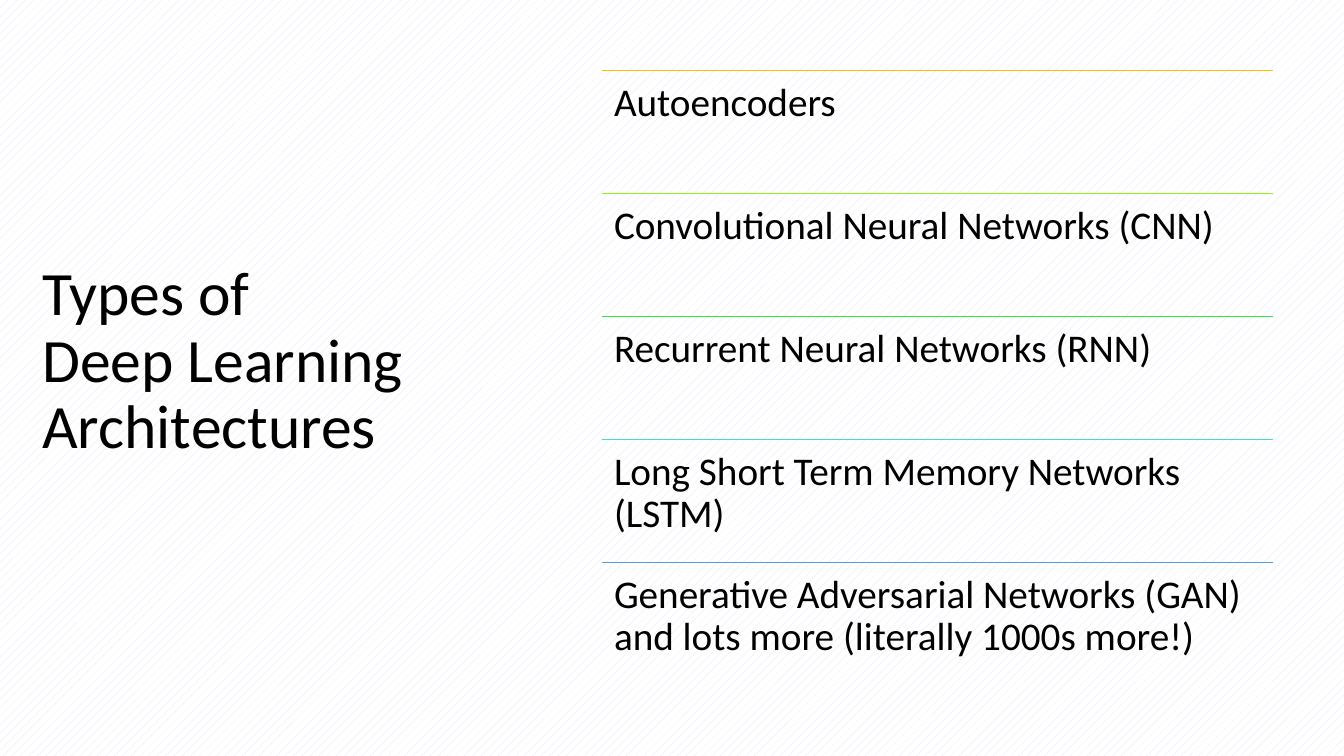
from lxml import etree
from pptx import Presentation
from pptx.dml.color import RGBColor
from pptx.enum.dml import MSO_PATTERN
from pptx.enum.shapes import MSO_CONNECTOR
from pptx.enum.text import MSO_ANCHOR, MSO_AUTO_SIZE, PP_ALIGN
from pptx.oxml.ns import qn
from pptx.util import Inches, Pt

FONT = "Calibri"
BLACK = RGBColor(0x00, 0x00, 0x00)
WHITE = RGBColor(0xFF, 0xFF, 0xFF)
PALE_BLUE = RGBColor(0xDA, 0xE3, 0xF3)

ARCHITECTURES = [
    ("Autoencoders", RGBColor(0xFF, 0xC0, 0x00)),
    ("Convolutional Neural Networks (CNN)", RGBColor(0x94, 0xF3, 0x19)),
    ("Recurrent Neural Networks (RNN)", RGBColor(0x30, 0xE8, 0x45)),
    ("Long Short Term Memory Networks (LSTM)", RGBColor(0x46, 0xDE, 0xBF)),
    ("Generative Adversarial Networks (GAN) and lots more (literally 1000s more!)",
     RGBColor(0x5B, 0x9B, 0xD5)),
]
LIST_LEFT = Inches(5.97)
LIST_TOP = Inches(0.7)
LIST_WIDTH = Inches(6.66)
ROW_HEIGHT = Inches(1.22)
ROW_INSET = Inches(0.12)


def set_background(slide):
    fill = slide.background.fill
    fill.patterned()
    fill.pattern = MSO_PATTERN.PERCENT_20
    fill.fore_color.rgb = PALE_BLUE
    fill.back_color.rgb = WHITE


def write_text(text_frame, text, size, anchor):
    text_frame.text = text
    text_frame.word_wrap = True
    text_frame.auto_size = MSO_AUTO_SIZE.NONE
    text_frame.vertical_anchor = anchor
    for paragraph in text_frame.paragraphs:
        paragraph.alignment = PP_ALIGN.LEFT
        paragraph.line_spacing = 0.9
        for run in paragraph.runs:
            run.font.name = FONT
            run.font.size = Pt(size)
            run.font.color.rgb = BLACK


def add_title(slide, text):
    title = slide.shapes.title
    title.left, title.top = Inches(0.32), Inches(0.15)
    title.width, title.height = Inches(4.25), Inches(6.89)
    write_text(title.text_frame, text, 44, MSO_ANCHOR.MIDDLE)


def add_rule(shapes, top, color):
    rule = shapes.add_connector(
        MSO_CONNECTOR.STRAIGHT, LIST_LEFT, top, LIST_LEFT + LIST_WIDTH, top)
    rule.line.color.rgb = color
    rule.line.width = Pt(1)
    etree.SubElement(rule._element.spPr, qn("a:effectLst"))


def add_row_text(shapes, top, text):
    box = shapes.add_textbox(LIST_LEFT, top, LIST_WIDTH, ROW_HEIGHT)
    text_frame = box.text_frame
    text_frame.margin_left = text_frame.margin_right = ROW_INSET
    text_frame.margin_top = text_frame.margin_bottom = ROW_INSET
    write_text(text_frame, text, 28, MSO_ANCHOR.TOP)


def add_ruled_list(slide, rows):
    shapes = slide.shapes.add_group_shape().shapes
    for index, (text, color) in enumerate(rows):
        top = LIST_TOP + index * ROW_HEIGHT
        add_rule(shapes, top, color)
        add_row_text(shapes, top, text)


def main():
    presentation = Presentation()
    presentation.slide_width = Inches(13.33)
    presentation.slide_height = Inches(7.5)
    title_only = presentation.slide_layouts.get_by_name("Title Only")
    slide = presentation.slides.add_slide(title_only)
    set_background(slide)
    add_title(slide, "Types of \vDeep Learning Architectures")
    add_ruled_list(slide, ARCHITECTURES)
    presentation.save("out.pptx")


if __name__ == "__main__":
    main()
